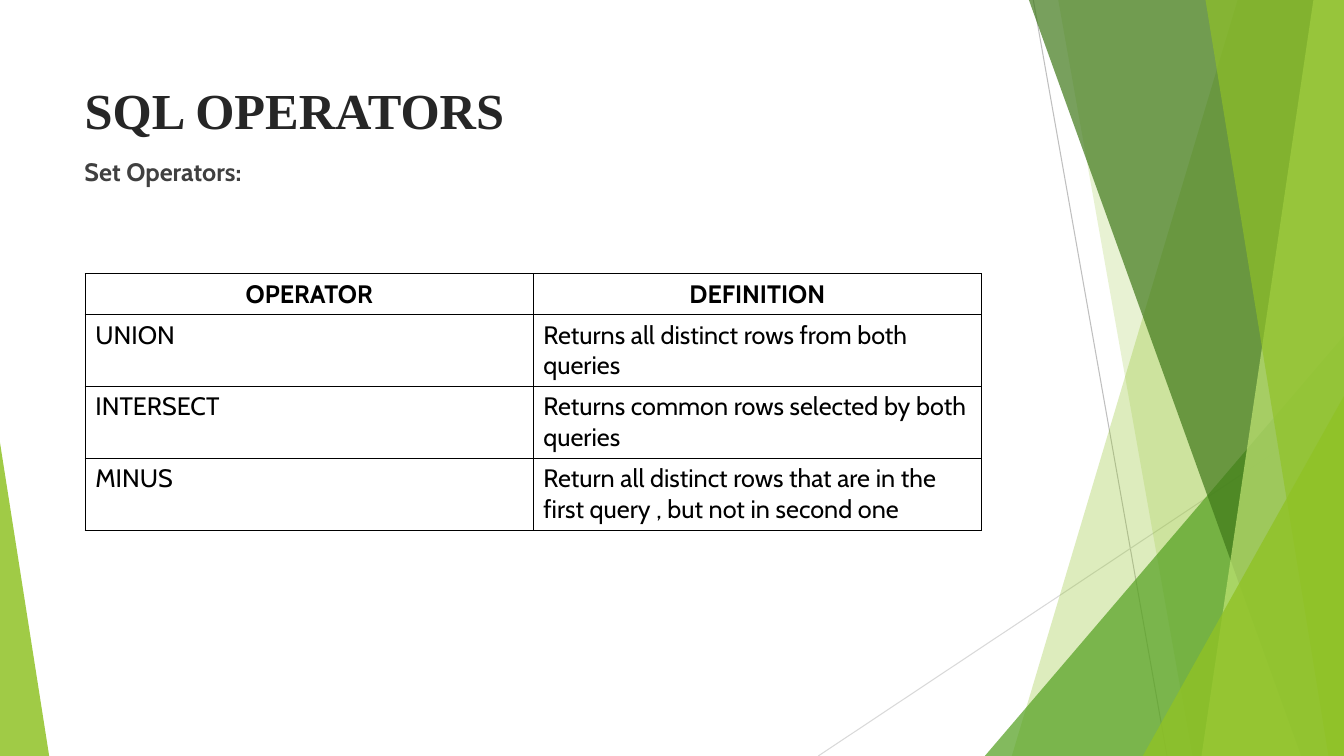
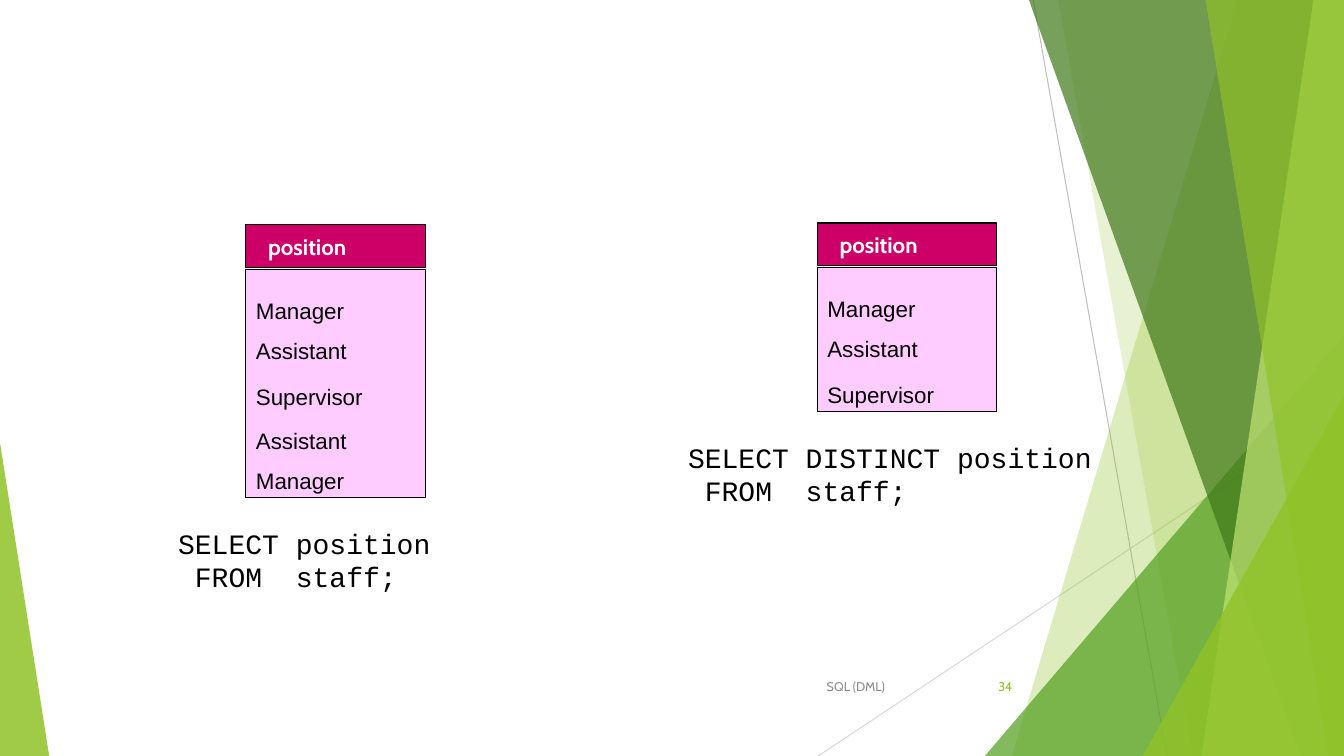
from dataclasses import dataclass

from lxml.etree import SubElement
from pptx import Presentation
from pptx.dml.color import RGBColor
from pptx.enum.shapes import MSO_CONNECTOR as Line, MSO_SHAPE as Shape
from pptx.enum.text import MSO_ANCHOR as Anchor, PP_ALIGN as Align
from pptx.oxml.ns import qn
from pptx.util import Cm, Pt

WIDTH, HEIGHT = 33.87, 19.05


@dataclass(frozen=True)
class TextStyle:
    name: str
    size: float
    color: str
    bold: bool = False


@dataclass(frozen=True)
class Theme:
    lime: str = "90C226"
    pale_lime: str = "C0E474"
    green: str = "54A021"
    dark_green: str = "3F7819"
    ray: str = "BFBFBF"
    pale_ray: str = "D9D9D9"
    black: str = "000000"
    header: str = "CC0066"
    body: str = "FFCCFF"
    title: TextStyle = TextStyle("Times New Roman", 36, "262626", True)
    subtitle: TextStyle = TextStyle("Cabin", 18, "404040", True)
    cell: TextStyle = TextStyle("Cabin", 18, "000000")
    cell_head: TextStyle = TextStyle("Cabin", 18, "000000", True)
    list_head: TextStyle = TextStyle("Cabin", 16, "FFFFFF", True)
    list_item: TextStyle = TextStyle("Arial", 16, "000000")
    code: TextStyle = TextStyle("Courier New", 20, "000000")
    footer: TextStyle = TextStyle("Cabin", 9, "8C8C8C")
    page: TextStyle = TextStyle("Cabin", 9, "90C226")


THEME = Theme()


def rgb(color):
    return RGBColor.from_string(color)


def write(tf, lines, style, align=Align.LEFT, gaps=(), **frame):
    """Fill a text frame; gaps are the points of space before each line."""
    for key, value in frame.items():
        setattr(tf, key, value)
    for i, line in enumerate(lines):
        p = tf.paragraphs[0] if i == 0 else tf.add_paragraph()
        p.alignment = align
        if i and gaps:
            p.space_before = Pt(gaps[i])
        r = p.add_run()
        r.text = line
        font = {"name": style.name, "size": Pt(style.size), "bold": style.bold}
        for key, value in font.items():
            setattr(r.font, key, value)
        r.font.color.rgb = rgb(style.color)


def add_text(s, box, lines, style, **options):
    sp = s.shapes.add_textbox(*map(Cm, box))
    write(sp.text_frame, lines, style, **options)


def paint(sp, color, opacity=100, outline=None):
    sp.shadow.inherit = False
    sp.fill.solid()
    sp.fill.fore_color.rgb = rgb(color)
    if opacity < 100:
        clr = sp.fill._xPr.find(".//" + qn("a:srgbClr"))
        SubElement(clr, qn("a:alpha"), val=str(opacity * 1000))
    if outline:
        sp.line.color.rgb = rgb(outline)
        sp.line.width = Pt(0.75)
    else:
        sp.line.fill.background()


def add_ray(s, ends, color):
    line = s.shapes.add_connector(Line.STRAIGHT, *map(Cm, ends))
    line.line.color.rgb = rgb(color)
    line.line.width = Pt(0.75)
    SubElement(line._element.spPr, qn("a:effectLst"))


def add_panel(s, top_x, bottom_x, color, opacity):
    """Full-height facet from a slanted left side to the slide's right edge."""
    corners = [(top_x, 0), (WIDTH, 0), (WIDTH, HEIGHT), (bottom_x, HEIGHT)]
    points = [(Cm(x), Cm(y)) for x, y in corners]
    builder = s.shapes.build_freeform(*points[0])
    builder.add_line_segments(points[1:], close=True)
    paint(builder.convert_to_shape(), color, opacity)


def add_corner(s, left, top, width, apex, color, opacity):
    """Right triangle standing on the slide's bottom edge."""
    sp = s.shapes.add_shape(Shape.ISOSCELES_TRIANGLE, Cm(left), Cm(top),
                            Cm(width), Cm(HEIGHT - top))
    sp.adjustments[0] = apex
    paint(sp, color, opacity)


def add_backdrop(s):
    t = THEME
    add_ray(s, (26.04, 0, 29.41, HEIGHT), t.ray)
    add_ray(s, (WIDTH, 10.24, 20.62, HEIGHT), t.pale_ray)
    add_panel(s, 31.19, 25.5, t.lime, 30)
    add_panel(s, 26.67, 30.05, t.lime, 20)
    add_corner(s, 24.82, 8.46, 9.05, 1, t.green, 72)
    add_panel(s, 25.93, 32.79, t.dark_green, 70)
    add_panel(s, 33.1, 30.28, t.pale_lime, 70)
    add_panel(s, 30.38, 33.48, t.lime, 65)
    add_corner(s, 28.8, 9.98, 5.07, 1, t.lime, 80)
    add_corner(s, 0, 11.15, 1.24, 0, t.lime, 85)


def new_slide(prs, title=None):
    s = prs.slides.add_slide(prs.slide_layouts[5 if title else 6])
    add_backdrop(s)
    if title:
        sp = s.shapes.title
        place = {"left": 1.88, "top": 1.7, "width": 23.88, "height": 2.11}
        for key, value in place.items():
            setattr(sp, key, Cm(value))
        write(sp.text_frame, [title], THEME.title,
              vertical_anchor=Anchor.MIDDLE)
    return s


def add_borders(cell):
    tc_pr = cell._tc.get_or_add_tcPr()
    for i, side in enumerate(("a:lnL", "a:lnR", "a:lnT", "a:lnB")):
        ln = tc_pr.makeelement(qn(side), {"w": str(Pt(1))})
        fill = SubElement(ln, qn("a:solidFill"))
        SubElement(fill, qn("a:srgbClr"), val=THEME.black)
        tc_pr.insert(i, ln)


def add_grid(s, left, top, col_width, row_heights, rows):
    frame = s.shapes.add_table(
        len(rows), len(rows[0]), Cm(left), Cm(top),
        Cm(col_width * len(rows[0])), Cm(sum(row_heights)))
    table = frame.table
    table.first_row = table.horz_banding = False
    for col in table.columns:
        col.width = Cm(col_width)
    for i, (texts, height) in enumerate(zip(rows, row_heights)):
        table.rows[i].height = Cm(height)
        style, align = ((THEME.cell, Align.LEFT) if i
                        else (THEME.cell_head, Align.CENTER))
        for cell, text in zip(table.rows[i].cells, texts):
            cell.fill.background()
            add_borders(cell)
            write(cell.text_frame, [text], style, align)


def add_result(s, left, top, height, heading, items):
    """Query result: a column heading above a box of values."""
    width, head_height, head_step = 4.52, 1.07, 1.11
    body = s.shapes.add_shape(Shape.RECTANGLE, Cm(left), Cm(top),
                              Cm(width), Cm(height))
    paint(body, THEME.body, outline=THEME.black)
    write(body.text_frame, items, THEME.list_item, gaps=(0, 9, 14, 12, 9),
          vertical_anchor=Anchor.TOP, margin_top=Cm(0.72))
    head = s.shapes.add_shape(Shape.RECTANGLE, Cm(left), Cm(top - head_step),
                              Cm(width), Cm(head_height))
    paint(head, THEME.header, outline=THEME.black)
    write(head.text_frame, [heading], THEME.list_head,
          vertical_anchor=Anchor.MIDDLE, margin_left=Cm(0.56))


def add_footer(s, text, number):
    for left, width, label, style in ((20.01, 2.54, text, THEME.footer),
                                      (23.85, 1.91, number, THEME.page)):
        add_text(s, (left, 16.79, width, 1.02), [label], style,
                 align=Align.RIGHT, word_wrap=True,
                 vertical_anchor=Anchor.MIDDLE)


def operators_slide(prs):
    s = new_slide(prs, "SQL OPERATORS")
    add_text(s, (1.88, 3.81, 23.88, 1.2), ["Set Operators:"], THEME.subtitle,
             word_wrap=True)
    add_grid(s, 2.15, 6.9, 11.29, (1.03, 1.81, 1.81, 1.81), [
        ("OPERATOR", "DEFINITION"),
        ("UNION", "Returns all distinct rows from both queries"),
        ("INTERSECT", "Returns common rows selected by both queries"),
        ("MINUS", "Return all distinct rows that are in the first query , "
                  "but not in second one"),
    ])


def distinct_slide(prs):
    s = new_slide(prs)
    add_footer(s, "SQL (DML)", "34")
    positions = ["Manager", "Assistant", "Supervisor", "Assistant", "Manager"]
    add_result(s, 6.2, 6.78, 5.77, "position", positions)
    add_result(s, 20.6, 6.73, 3.63, "position", positions[:3])
    for box, select in (((4.24, 13.13, 6.93, 1.96), "SELECT position"),
                        ((17.09, 10.97, 10.77, 1.96),
                         "SELECT DISTINCT position")):
        add_text(s, box, [select, " FROM  staff;"], THEME.code,
                 word_wrap=False)


def main():
    prs = Presentation()
    prs.slide_width, prs.slide_height = Cm(WIDTH), Cm(HEIGHT)
    operators_slide(prs)
    distinct_slide(prs)
    prs.save("out.pptx")


if __name__ == "__main__":
    main()
